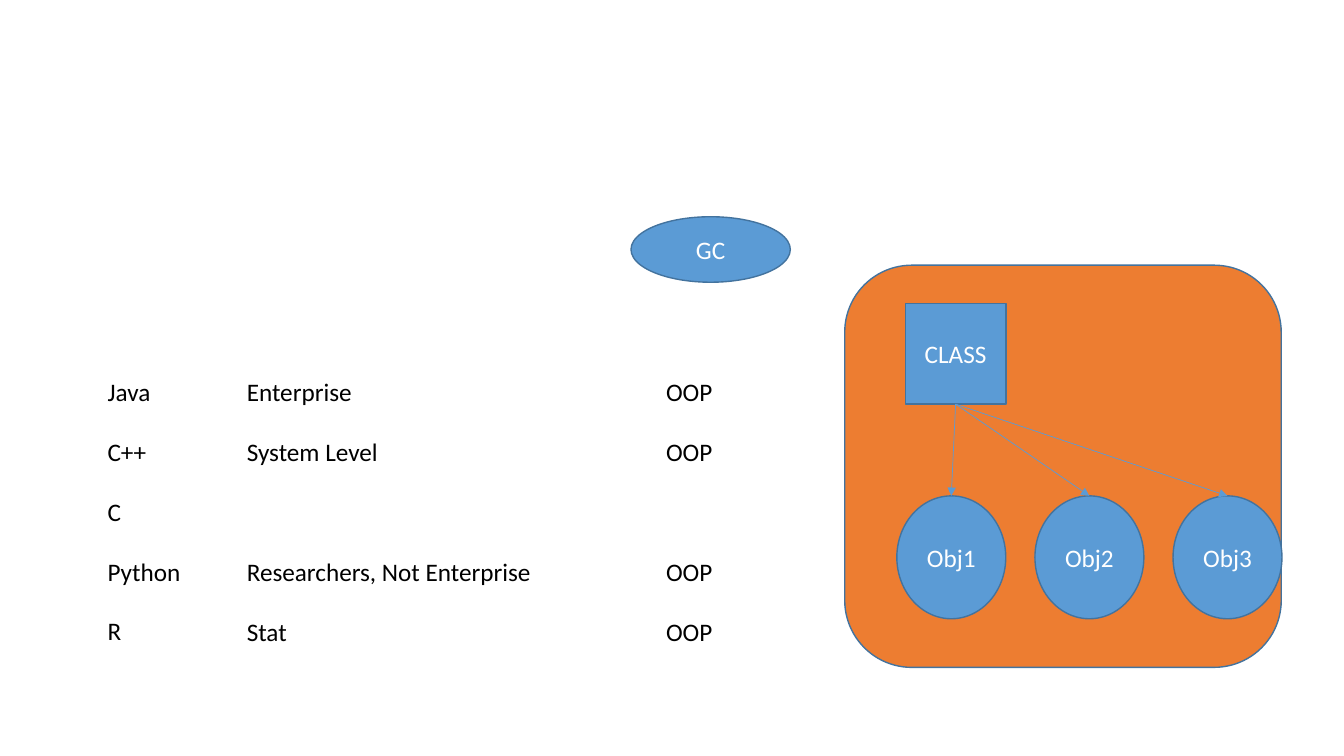
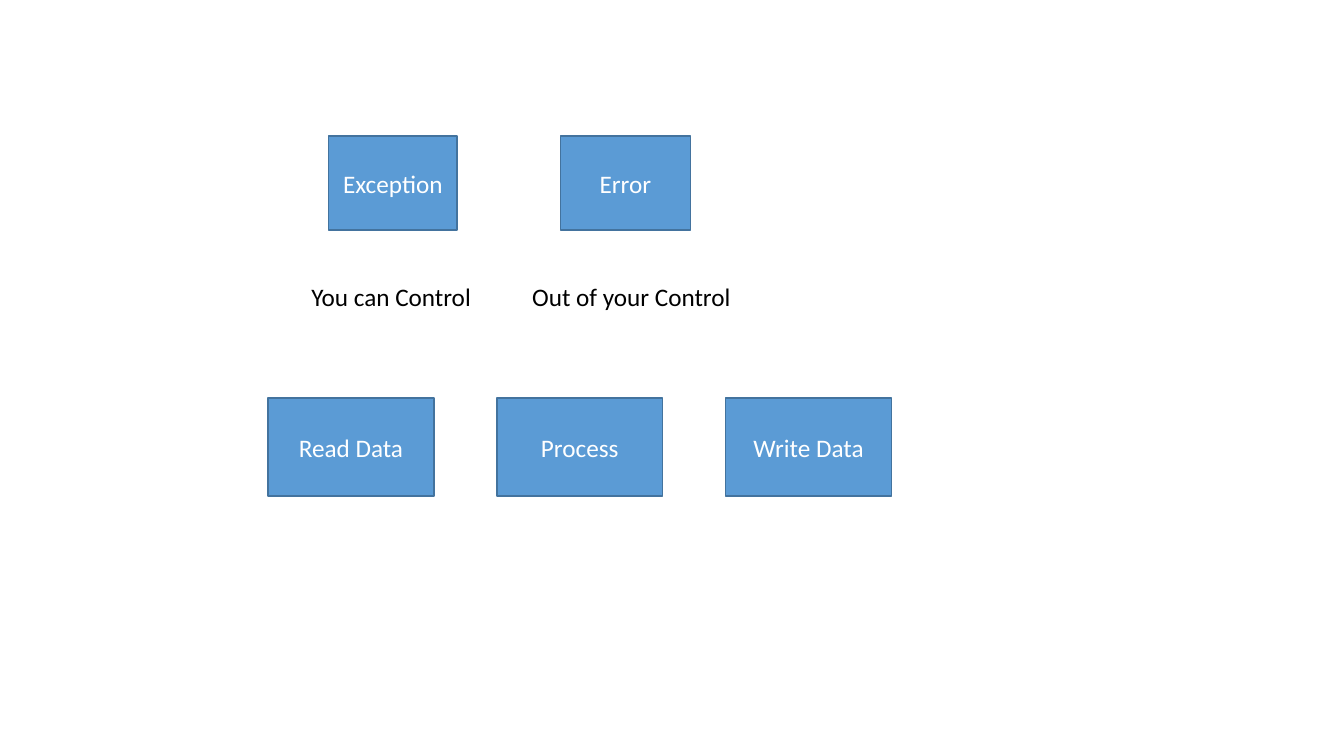
import dataclasses
import typing

import lxml.etree
import pptx
import pptx.dml.color
import pptx.enum.shapes
import pptx.enum.text
import pptx.oxml
import pptx.shapes.autoshape
import pptx.shapes.connector
import pptx.slide
import pptx.util

Pt = pptx.util.Pt
RGBColor = pptx.dml.color.RGBColor
MSO_SHAPE = pptx.enum.shapes.MSO_SHAPE
PP_ALIGN = pptx.enum.text.PP_ALIGN

BLUE = RGBColor(0x5B, 0x9B, 0xD5)
OUTLINE = RGBColor(0x43, 0x73, 0x9E)
ORANGE = RGBColor(0xED, 0x7D, 0x31)
WHITE = RGBColor(0xFF, 0xFF, 0xFF)
BLACK = RGBColor(0x00, 0x00, 0x00)

FONT = {"name": "Calibri", "size": Pt(18)}
SHAPE_FRAME = {
    "word_wrap": True,
    "vertical_anchor": pptx.enum.text.MSO_ANCHOR.MIDDLE,
}
LABEL_FRAME = {
    "word_wrap": False,
    "auto_size": pptx.enum.text.MSO_AUTO_SIZE.SHAPE_TO_FIT_TEXT,
}
LINE_HEIGHT = 21.97
ROW_PITCH = 43.2
OBJ_PITCH = 98.64
STEP_PITCH = 163.44


@dataclasses.dataclass(frozen=True)
class Node:
    text: str
    left: float
    top: float
    width: float
    height: float
    kind: MSO_SHAPE = MSO_SHAPE.RECTANGLE
    fill: RGBColor = BLUE


@dataclasses.dataclass(frozen=True)
class Label:
    rows: tuple[str, ...]
    left: float
    top: float
    width: float
    height: float


HEAP = Node("", 603.4, 189.4, 311.8, 287.3, MSO_SHAPE.ROUNDED_RECTANGLE, ORANGE)
CLASS_BOX = Node("CLASS", 646.6, 216.7, 72, 72)
OBJECTS = [
    Node(f"Obj{i + 1}", 640.6 + i * OBJ_PITCH, 354.2, 77.8, 87.8, MSO_SHAPE.OVAL)
    for i in range(3)
]
COLLECTOR = Node("GC", 450.7, 154.8, 113.8, 46.8, MSO_SHAPE.OVAL)
LANGUAGE_COLUMNS = [
    Label(rows, left, 265, width, 225)
    for rows, left, width in (
        (("Java", "C++", "C", "Python", "R"), 69.8, 67),
        (
            ("Enterprise", "System Level", "", "Researchers, Not Enterprise", "Stat"),
            169.2,
            223.9,
        ),
        (("OOP", "OOP", "", "OOP", "OOP"), 468.7, 47.5),
    )
]
FAULTS = [
    Node("Exception", 234.7, 97.2, 91.8, 67),
    Node("Error", 400.3, 97.2, 92.9, 67),
]
FAULT_NOTES = [
    Label(("You can Control",), 215.3, 197.3, 129.6, 29),
    Label(("Out of your Control",), 373, 197.3, 157.7, 29),
]
STEPS = [
    Node(text, 191.5 + i * STEP_PITCH, 284.4, 118.4, 70)
    for i, text in enumerate(("Read Data", "Process", "Write Data"))
]


def apply(target: typing.Any, values: dict[str, typing.Any]) -> None:
    for name, value in values.items():
        setattr(target, name, value)


def write(p: typing.Any, text: str, color: RGBColor) -> None:
    r = p.add_run()
    r.text = text
    apply(r.font, FONT)
    r.font.color.rgb = color


def add_node(s: pptx.slide.Slide, node: Node) -> pptx.shapes.autoshape.Shape:
    sp = s.shapes.add_shape(
        node.kind, Pt(node.left), Pt(node.top), Pt(node.width), Pt(node.height)
    )
    sp.shadow.inherit = False
    sp.fill.solid()
    sp.fill.fore_color.rgb = node.fill
    sp.line.color.rgb = OUTLINE
    sp.line.width = Pt(1)
    if node.text:
        tf = sp.text_frame
        apply(tf, SHAPE_FRAME)
        p = tf.paragraphs[0]
        p.alignment = PP_ALIGN.CENTER
        write(p, node.text, WHITE)
    return sp


def add_label(s: pptx.slide.Slide, label: Label) -> None:
    sp = s.shapes.add_textbox(
        Pt(label.left), Pt(label.top), Pt(label.width), Pt(label.height)
    )
    tf = sp.text_frame
    apply(tf, LABEL_FRAME)
    p, last = tf.paragraphs[0], 0
    for row, text in enumerate(label.rows):
        if not text:
            continue
        if row:
            p = tf.add_paragraph()
            p.space_before = Pt(round((row - last) * ROW_PITCH - LINE_HEIGHT, 2))
        write(p, text, BLACK)
        last = row


def add_arrow(
    s: pptx.slide.Slide,
    start: pptx.shapes.autoshape.Shape,
    end: pptx.shapes.autoshape.Shape,
) -> pptx.shapes.connector.Connector:
    cx = s.shapes.add_connector(
        pptx.enum.shapes.MSO_CONNECTOR.STRAIGHT, Pt(0), Pt(0), Pt(0), Pt(0)
    )
    cx.begin_connect(start, 2)
    cx.end_connect(end, 0)
    cx.line.color.rgb = BLUE
    cx.line.width = Pt(0.5)
    ln = cx.line._get_or_add_ln()
    lxml.etree.SubElement(ln, pptx.oxml.ns.qn("a:tailEnd"), type="triangle")
    lxml.etree.SubElement(cx._element.spPr, pptx.oxml.ns.qn("a:effectLst"))
    return cx


def build_languages(s: pptx.slide.Slide) -> None:
    add_node(s, HEAP)
    for column in LANGUAGE_COLUMNS:
        add_label(s, column)
    class_box = add_node(s, CLASS_BOX)
    objects = [add_node(s, node) for node in OBJECTS]
    for obj in objects:
        add_arrow(s, class_box, obj)
    add_node(s, COLLECTOR)


def build_faults(s: pptx.slide.Slide) -> None:
    for node in FAULTS:
        add_node(s, node)
    for note in FAULT_NOTES:
        add_label(s, note)
    for node in STEPS:
        add_node(s, node)


def main() -> None:
    prs = pptx.Presentation()
    apply(prs, {"slide_width": Pt(960), "slide_height": Pt(540)})
    for build in (build_languages, build_faults):
        build(prs.slides.add_slide(prs.slide_layouts[6]))
    prs.save("out.pptx")


if __name__ == "__main__":
    main()
